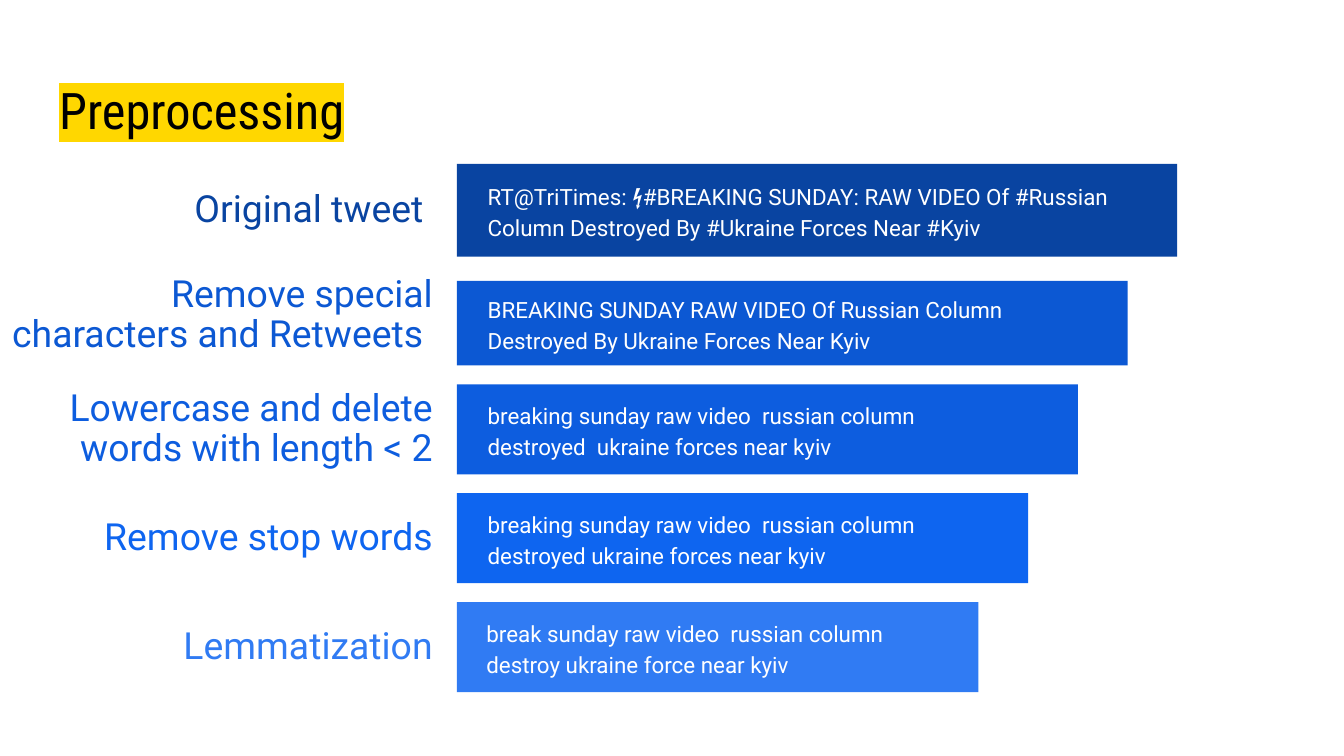
from dataclasses import dataclass

from lxml import etree
from pptx import Presentation
from pptx.dml.color import RGBColor
from pptx.enum.shapes import MSO_SHAPE
from pptx.enum.text import MSO_ANCHOR, MSO_AUTO_SIZE, PP_ALIGN
from pptx.oxml.ns import qn
from pptx.util import Inches, Pt

RECTANGLE = MSO_SHAPE.RECTANGLE
TOP, MIDDLE = MSO_ANCHOR.TOP, MSO_ANCHOR.MIDDLE
LEFT, RIGHT = PP_ALIGN.LEFT, PP_ALIGN.RIGHT
NO_AUTOFIT = MSO_AUTO_SIZE.NONE

BLACK = RGBColor(0x00, 0x00, 0x00)
WHITE = RGBColor(0xFF, 0xFF, 0xFF)
GOLD = RGBColor(0xFF, 0xD7, 0x00)
NAVY = RGBColor(0x09, 0x44, 0xA1)
COBALT = RGBColor(0x0C, 0x58, 0xD3)
ROYAL = RGBColor(0x0D, 0x5D, 0xDF)
AZURE = RGBColor(0x0E, 0x65, 0xF0)
SKY = RGBColor(0x30, 0x7B, 0xF3)

BODY_FONT = "Roboto"
TITLE_FONT = "Roboto Condensed"

SLIDE_WIDTH = Inches(10)
SLIDE_HEIGHT = SLIDE_WIDTH * 9 // 16
LABEL_RIGHT = 3.32
LABEL_HEIGHT = 0.58
BAR_LEFT = 3.4
FIRST_BAR_WIDTH = 5.36
BAR_STEP = 0.37


@dataclass
class Step:
    label: str
    tweet: str
    color: RGBColor
    top: float
    height: float
    label_width: float
    tweet_width: float
    tweet_height: float = 0.3
    tweet_left: float = 3.53
    label_shift: float = 0


STEPS = [
    Step("Original tweet ",
         "RT@TriTimes: ⚡️#BREAKING SUNDAY: RAW VIDEO Of #Russian "
         "Column Destroyed By #Ukraine Forces Near #Kyiv",
         NAVY, 1.22, 0.69, 2.33, 4.89, tweet_height=0.54),
    Step("Remove special characters and Retweets ",
         "BREAKING SUNDAY RAW VIDEO Of Russian Column "
         "Destroyed By Ukraine Forces Near Kyiv",
         COBALT, 2.09, 0.63, 3.39, 4.49, label_shift=-0.06),
    Step("Lowercase and delete words with length < 2",
         "breaking sunday raw video  russian column "
         "destroyed  ukraine forces near kyiv",
         ROYAL, 2.86, 0.67, 3.19, 3.95),
    Step("Remove stop words",
         "breaking sunday raw video  russian column "
         "destroyed ukraine forces near kyiv",
         AZURE, 3.67, 0.67, 2.76, 3.95),
    Step("Lemmatization",
         "break sunday raw video  russian column "
         "destroy ukraine force near kyiv",
         SKY, 4.48, 0.67, 2.76, 3.59, tweet_left=3.52),
]


def set_font(run, name, size, color):
    run.font.name = name
    run.font.size = Pt(size)
    run.font.color.rgb = color


def highlight(run, color):
    """Mark the run's background; the schema wants it right after the fill."""
    fill = run.font._element.find(qn("a:solidFill"))
    mark = etree.Element(qn("a:highlight"))
    etree.SubElement(mark, qn("a:srgbClr"), val=str(color))
    fill.addnext(mark)


def add_title(slide, text):
    title = slide.shapes.title
    title.left, title.top = Inches(0.34), Inches(0.49)
    title.width, title.height = Inches(9.32), Inches(0.63)
    frame = title.text_frame
    frame.text = text
    frame.auto_size = NO_AUTOFIT
    frame.vertical_anchor = TOP
    frame.margin_left = frame.margin_right = Inches(0.1)
    frame.margin_top = frame.margin_bottom = Inches(0.1)
    paragraph = frame.paragraphs[0]
    paragraph.alignment = LEFT
    run = paragraph.runs[0]
    set_font(run, TITLE_FONT, 27, BLACK)
    highlight(run, GOLD)


def add_text(slide, text, left, middle, width, height, size, color,
             alignment, line_spacing):
    """Add a text box centred vertically on middle."""
    box = slide.shapes.add_textbox(Inches(left), Inches(middle - height / 2),
                                   Inches(width), Inches(height))
    frame = box.text_frame
    frame.text = text
    frame.word_wrap = True
    frame.vertical_anchor = MIDDLE
    paragraph = frame.paragraphs[0]
    paragraph.alignment = alignment
    paragraph.line_spacing = line_spacing
    set_font(paragraph.runs[0], BODY_FONT, size, color)


def add_bar(slide, step, width):
    bar = slide.shapes.add_shape(RECTANGLE, Inches(BAR_LEFT), Inches(step.top),
                                 Inches(width), Inches(step.height))
    bar.shadow.inherit = False
    bar.fill.solid()
    bar.fill.fore_color.rgb = step.color
    bar.line.fill.background()


def add_step(slide, index, step):
    middle = step.top + step.height / 2
    add_text(slide, step.label, LABEL_RIGHT - step.label_width,
             middle + step.label_shift, step.label_width, LABEL_HEIGHT,
             20, step.color, RIGHT, 0.9)
    add_bar(slide, step, FIRST_BAR_WIDTH - index * BAR_STEP)
    add_text(slide, step.tweet, step.tweet_left, middle, step.tweet_width,
             step.tweet_height, 12, WHITE, LEFT, 1.15)


def main():
    presentation = Presentation()
    presentation.slide_width = SLIDE_WIDTH
    presentation.slide_height = SLIDE_HEIGHT
    slide = presentation.slides.add_slide(presentation.slide_layouts[5])
    add_title(slide, "Preprocessing")
    for index, step in enumerate(STEPS):
        add_step(slide, index, step)
    presentation.save("out.pptx")


if __name__ == "__main__":
    main()
